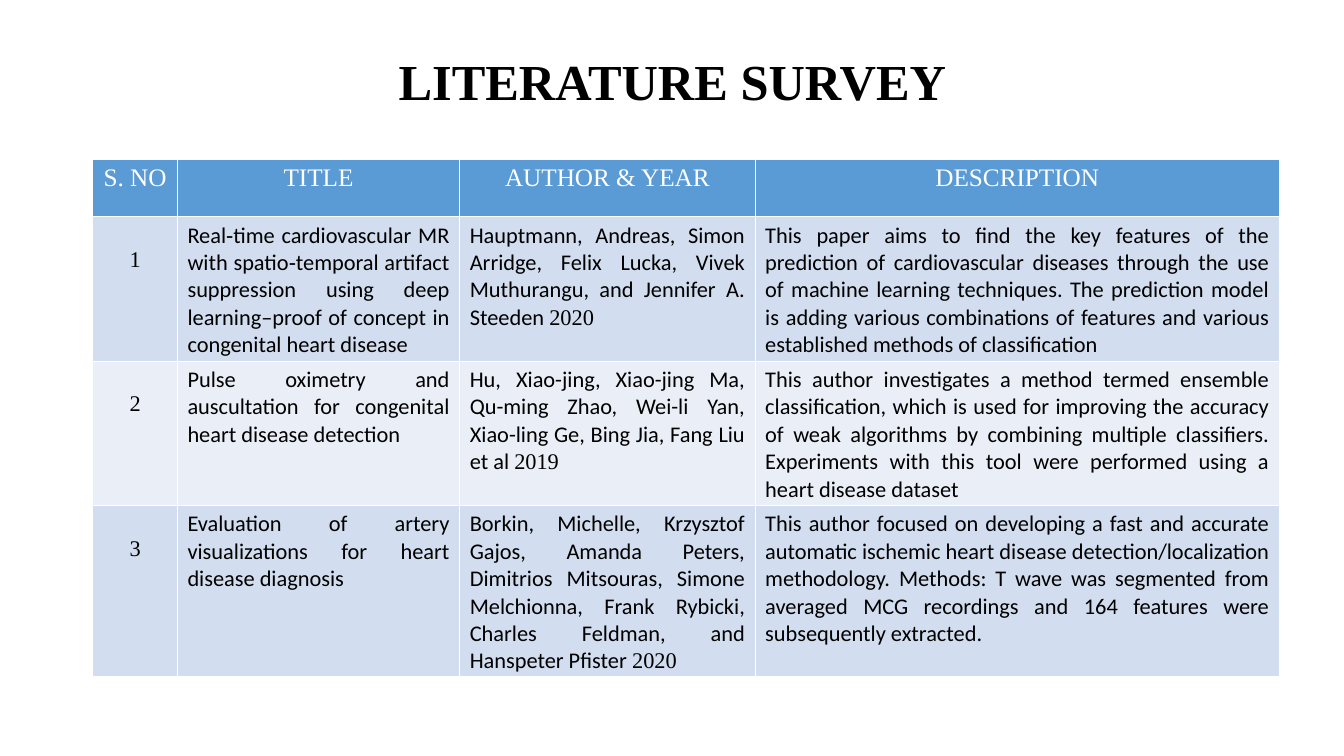
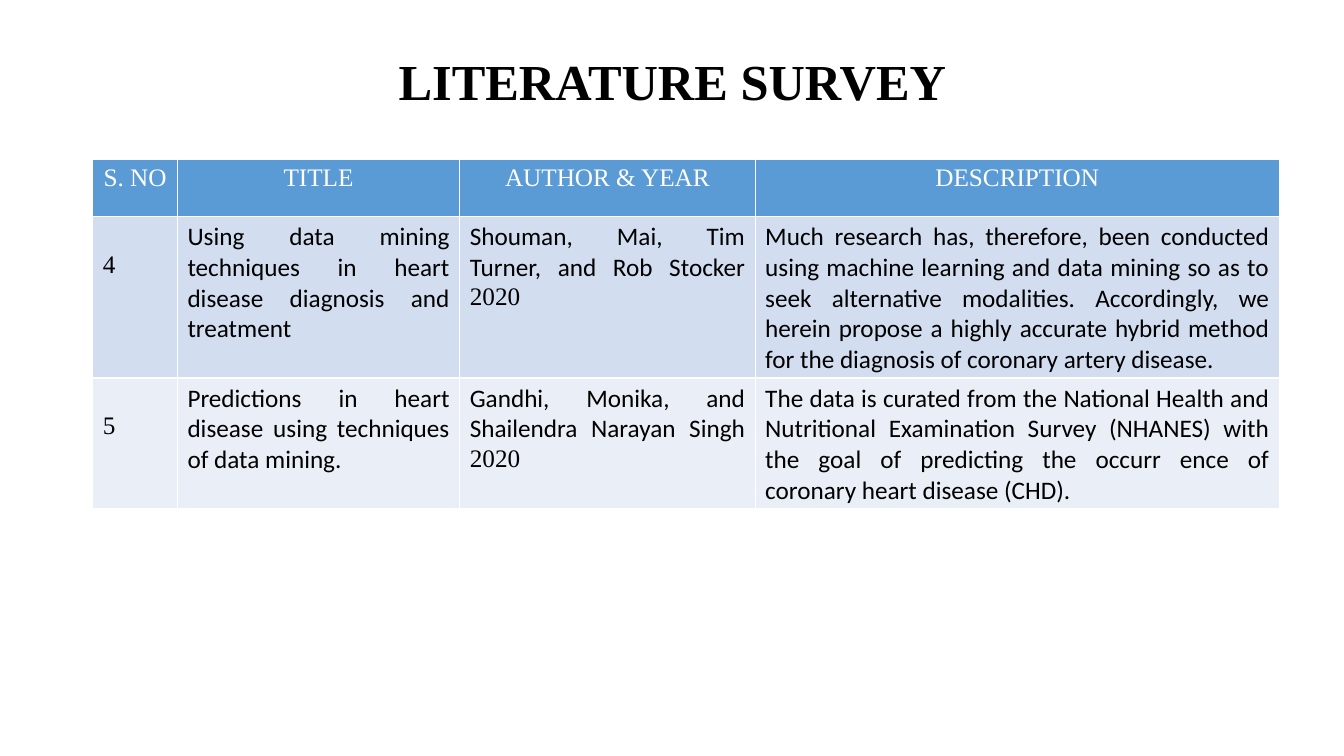
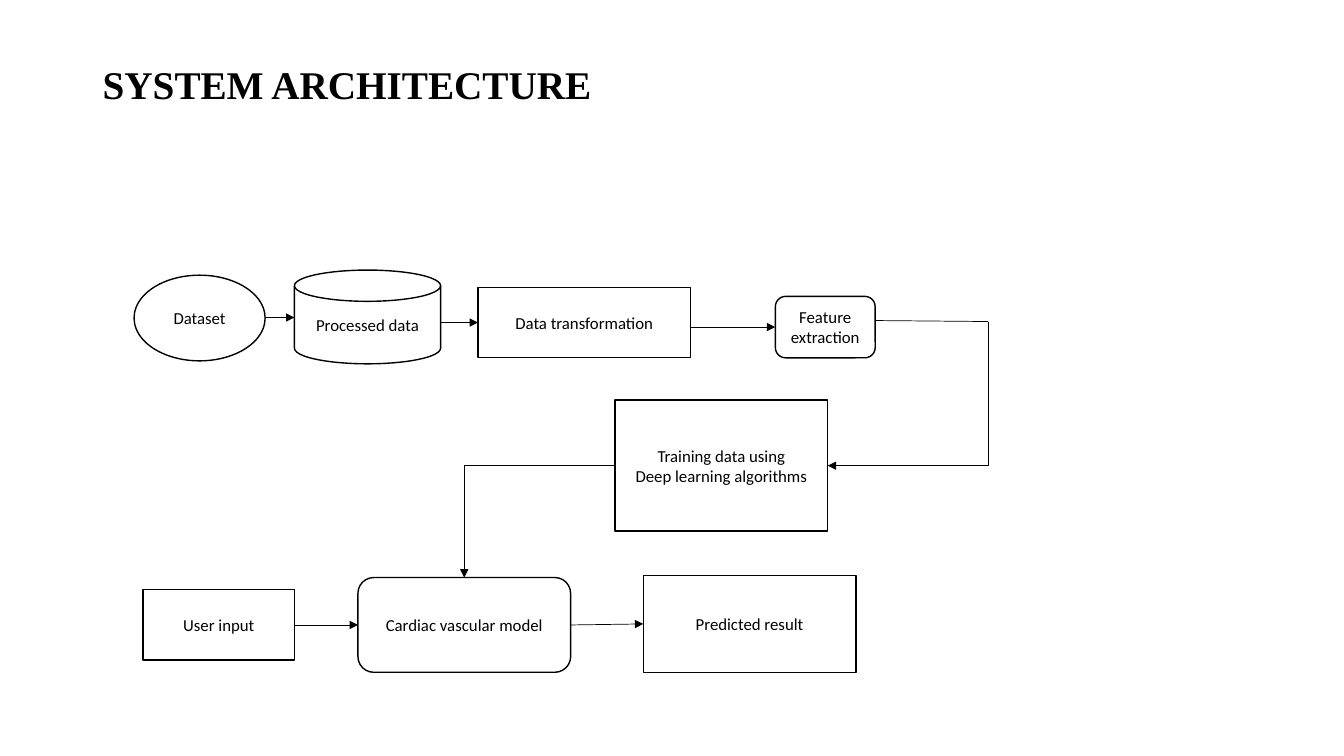
"""Build a literature survey and a system architecture diagram."""
from dataclasses import dataclass

from lxml import etree
from pptx import Presentation
from pptx.dml.color import RGBColor
from pptx.enum.shapes import MSO_CONNECTOR, MSO_SHAPE
from pptx.enum.text import MSO_ANCHOR, PP_ALIGN
from pptx.oxml.ns import qn
from pptx.util import Inches, Pt

LEFT, CENTER, JUSTIFY = PP_ALIGN.LEFT, PP_ALIGN.CENTER, PP_ALIGN.JUSTIFY
MIDDLE = MSO_ANCHOR.MIDDLE
STRAIGHT = MSO_CONNECTOR.STRAIGHT
RECT, ROUNDED = MSO_SHAPE.RECTANGLE, MSO_SHAPE.ROUNDED_RECTANGLE
OVAL, DISK = MSO_SHAPE.OVAL, MSO_SHAPE.FLOWCHART_MAGNETIC_DISK
TOP_SIDE, LEFT_SIDE, RIGHT_SIDE = 0, 1, 3
BLANK_LAYOUT = 6


@dataclass(frozen=True)
class Theme:
    """Colours, fonts and type sizes of the deck."""
    ink: RGBColor = RGBColor(0, 0, 0)
    paper: RGBColor = RGBColor(255, 255, 255)
    header: RGBColor = RGBColor(0x5B, 0x9B, 0xD5)
    bands: tuple = (RGBColor(0xD2, 0xDE, 0xEF), RGBColor(0xEA, 0xEF, 0xF7))
    serif: str = "Times New Roman"
    sans: str = "Calibri"
    survey_title: int = 36
    diagram_title: int = 28
    table_header: int = 18
    label: int = 12
    outline: float = 1
    arrow: float = 0.5


THEME = Theme()
CELL = Inches(0.1)
SLIDE_GRID = (133.3, 75)
TITLE_BOX = (9.2, 4, 115, 8.7)
DIAGRAM_TITLE_BOX = (9.2, 4, 115, 9.3)
TABLE_ORIGIN = (9.2, 15.8)
TABLE_COLUMNS = (8.4, 28, 29.3, 52)
HEADER_ROW, BODY_ROW = 5.7, 12.9
CELL_MARGIN = 0.05
SERIF_LINE = 1.15
DIAGRAM_ORIGIN = (13.3, 26.8)

HEADINGS = ("S. NO", "TITLE", "AUTHOR & YEAR", "DESCRIPTION")
SURVEYS = (
    (16, CENTER, (
        ("1", "Real‐time cardiovascular MR with spatio‐temporal artifact suppression using "
         "deep learning–proof of concept in congenital heart disease",
         "Hauptmann, Andreas, Simon Arridge, Felix Lucka, Vivek Muthurangu, and "
         "Jennifer A. Steeden ", "2020",
         "This paper aims to find the key features of the prediction of cardiovascular "
         "diseases through the use of machine learning techniques. The prediction model is "
         "adding various combinations of features and various established methods of "
         "classification"),
        ("2", "Pulse oximetry and auscultation for congenital heart disease detection",
         "Hu, Xiao-jing, Xiao-jing Ma, Qu-ming Zhao, Wei-li Yan, Xiao-ling Ge, Bing Jia, "
         "Fang Liu et al ", "2019",
         "This author investigates a method termed ensemble classification, which is used "
         "for improving the accuracy of weak algorithms by combining multiple classifiers. "
         "Experiments with this tool were performed using a heart disease dataset"),
        ("3", "Evaluation of artery visualizations for heart disease diagnosis",
         "Borkin, Michelle, Krzysztof Gajos, Amanda Peters, Dimitrios Mitsouras, Simone "
         "Melchionna, Frank Rybicki, Charles Feldman, and Hanspeter Pfister ", "2020",
         "This author focused on developing a fast and accurate automatic ischemic heart "
         "disease detection/localization methodology. Methods: T wave was segmented from "
         "averaged MCG recordings and 164 features were subsequently extracted."),
    )),
    (18, JUSTIFY, (
        ("4", "Using data mining techniques in heart disease diagnosis and treatment",
         "Shouman, Mai, Tim Turner, and Rob Stocker ", "2020",
         "Much research has, therefore, been conducted using machine learning and data "
         "mining so as to seek alternative modalities. Accordingly, we herein propose a "
         "highly accurate hybrid method for the diagnosis of coronary artery disease."),
        ("5", "Predictions in heart disease using techniques of data mining.",
         "Gandhi, Monika, and Shailendra Narayan Singh ", "2020",
         "The data is curated from the National Health and Nutritional Examination Survey "
         "(NHANES) with the goal of predicting the occurr ence of coronary heart disease "
         "(CHD)."),
    )),
)

STAGES = {
    "dataset": (OVAL, (0, 0.5, 13, 8.5), ("Dataset",)),
    "processed": (DISK, (15.9, 0, 14.5, 9.3), ("Processed data",)),
    "transformation": (RECT, (34.1, 1.7, 21.1, 7), ("Data transformation",)),
    "features": (ROUNDED, (63.6, 2.6, 9.9, 6.1), ("Feature extraction",)),
    "training": (RECT, (47.7, 12.9, 21.1, 13),
                 ("Training data using", "Deep learning algorithms")),
    "input": (RECT, (0.9, 31.7, 15, 7), ("User input",)),
    "model": (ROUNDED, (22.2, 30.5, 21.1, 9.4), ("Cardiac vascular model",)),
    "result": (RECT, (50.5, 30.3, 21.1, 9.6), ("Predicted result",)),
}
FLOWS = (
    ((13, 4.7), (15.9, 4.7), True),
    ((30.4, 5.2), ("transformation", LEFT_SIDE), True),
    ((55.2, 5.65), ("features", LEFT_SIDE), True),
    ((73.5, 5), (84.7, 5.1), False),
    ((84.7, 5.1), (84.7, 19.4), False),
    ((84.7, 19.4), ("training", RIGHT_SIDE), True),
    (("training", LEFT_SIDE), (32.75, 19.4), False),
    ((32.75, 19.4), ("model", TOP_SIDE), True),
    (("input", RIGHT_SIDE), ("model", LEFT_SIDE), True),
    (("model", RIGHT_SIDE), ("result", LEFT_SIDE), True),
)


def grid(*cells):
    """Turn grid cells into slide lengths."""
    return [round(count * CELL) for count in cells]


def style(target, **values):
    """Set each named attribute of the target."""
    for name, value in values.items():
        setattr(target, name, value)


def write(paragraph, text, font, size, color=THEME.ink, align=CENTER, bold=False):
    """Add one formatted run to a paragraph."""
    paragraph.alignment = align
    run = paragraph.add_run()
    run.text = text
    style(run.font, name=font, size=Pt(size), bold=bold)
    run.font.color.rgb = color


def add_title(slide, text, box, size, align):
    """Place the slide title in its box."""
    frame = slide.shapes.add_textbox(*grid(*box)).text_frame
    style(frame, word_wrap=True, vertical_anchor=MIDDLE)
    heading = frame.paragraphs[0]
    heading.line_spacing = 0.9
    write(heading, text, THEME.serif, size, align=align, bold=True)


def fill_cell(cell, background, runs, size, **text_format):
    """Colour a table cell and write its (text, font) runs."""
    cell.fill.solid()
    cell.fill.fore_color.rgb = background
    for text, font in runs:
        write(cell.text_frame.paragraphs[0], text, font, size, **text_format)


def add_survey_table(slide, origin, papers, size, number_align):
    """Place the table of papers with its top left corner at the origin."""
    heights = [HEADER_ROW] + [BODY_ROW] * len(papers)
    extent = (sum(TABLE_COLUMNS), sum(heights))
    table = slide.shapes.add_table(
        len(heights), len(TABLE_COLUMNS), *grid(*origin, *extent)).table
    for column, width in zip(table.columns, grid(*TABLE_COLUMNS)):
        column.width = width
    for row, height in zip(table.rows, grid(*heights)):
        row.height = height
    for cell, heading in zip(table.rows[0].cells, HEADINGS):
        fill_cell(cell, THEME.header, [(heading, THEME.serif)],
                  THEME.table_header, color=THEME.paper)
    for index, (number, title, authors, year, description) in enumerate(papers):
        cells = list(table.rows[index + 1].cells)
        band = THEME.bands[index % len(THEME.bands)]
        fill_cell(cells[0], band, [(number, THEME.serif)], size, align=number_align)
        cells[0].margin_top = Inches(CELL_MARGIN) + Pt(size * SERIF_LINE)
        contents = ([(title, THEME.sans)],
                    [(authors, THEME.sans), (year, THEME.serif)],
                    [(description, THEME.sans)])
        for cell, runs in zip(cells[1:], contents):
            fill_cell(cell, band, runs, size, align=JUSTIFY)


def add_stage(slide, origin, geometry, box, lines):
    """Place one labelled stage of the diagram."""
    left, top, width, height = box
    stage = slide.shapes.add_shape(
        geometry, *grid(origin[0] + left, origin[1] + top, width, height))
    stage.shadow.inherit = False
    stage.fill.solid()
    stage.fill.fore_color.rgb = THEME.paper
    stage.line.color.rgb = THEME.ink
    stage.line.width = Pt(THEME.outline)
    frame = stage.text_frame
    style(frame, word_wrap=True, vertical_anchor=MIDDLE)
    for index, line in enumerate(lines):
        paragraph = frame.add_paragraph() if index else frame.paragraphs[0]
        write(paragraph, line, THEME.sans, THEME.label)
    return stage


def add_flow(slide, origin, stages, start, end, arrow):
    """Draw a line between two ends, each a grid point or a side of a stage."""
    points = [(0, 0) if finish[0] in stages
              else grid(origin[0] + finish[0], origin[1] + finish[1])
              for finish in (start, end)]
    flow = slide.shapes.add_connector(STRAIGHT, *points[0], *points[1])
    for finish, connect in ((start, flow.begin_connect), (end, flow.end_connect)):
        if finish[0] in stages:
            connect(stages[finish[0]], finish[1])
    flow.line.color.rgb = THEME.ink
    flow.line.width = Pt(THEME.arrow)
    if arrow:
        etree.SubElement(flow.line._get_or_add_ln(), qn("a:tailEnd"), type="triangle")
    etree.SubElement(flow._element.spPr, qn("a:effectLst"))


def add_diagram(slide, origin):
    """Place the stages and the flows between them."""
    stages = {key: add_stage(slide, origin, *parts) for key, parts in STAGES.items()}
    for flow in FLOWS:
        add_flow(slide, origin, stages, *flow)


def main():
    """Build and save the deck."""
    deck = Presentation()
    deck.slide_width, deck.slide_height = grid(*SLIDE_GRID)
    blank = deck.slide_layouts[BLANK_LAYOUT]
    for size, number_align, papers in SURVEYS:
        slide = deck.slides.add_slide(blank)
        add_title(slide, "LITERATURE SURVEY", TITLE_BOX, THEME.survey_title, CENTER)
        add_survey_table(slide, TABLE_ORIGIN, papers, size, number_align)
    slide = deck.slides.add_slide(blank)
    add_title(slide, "SYSTEM ARCHITECTURE", DIAGRAM_TITLE_BOX, THEME.diagram_title, LEFT)
    add_diagram(slide, DIAGRAM_ORIGIN)
    deck.save("out.pptx")


if __name__ == "__main__":
    main()
